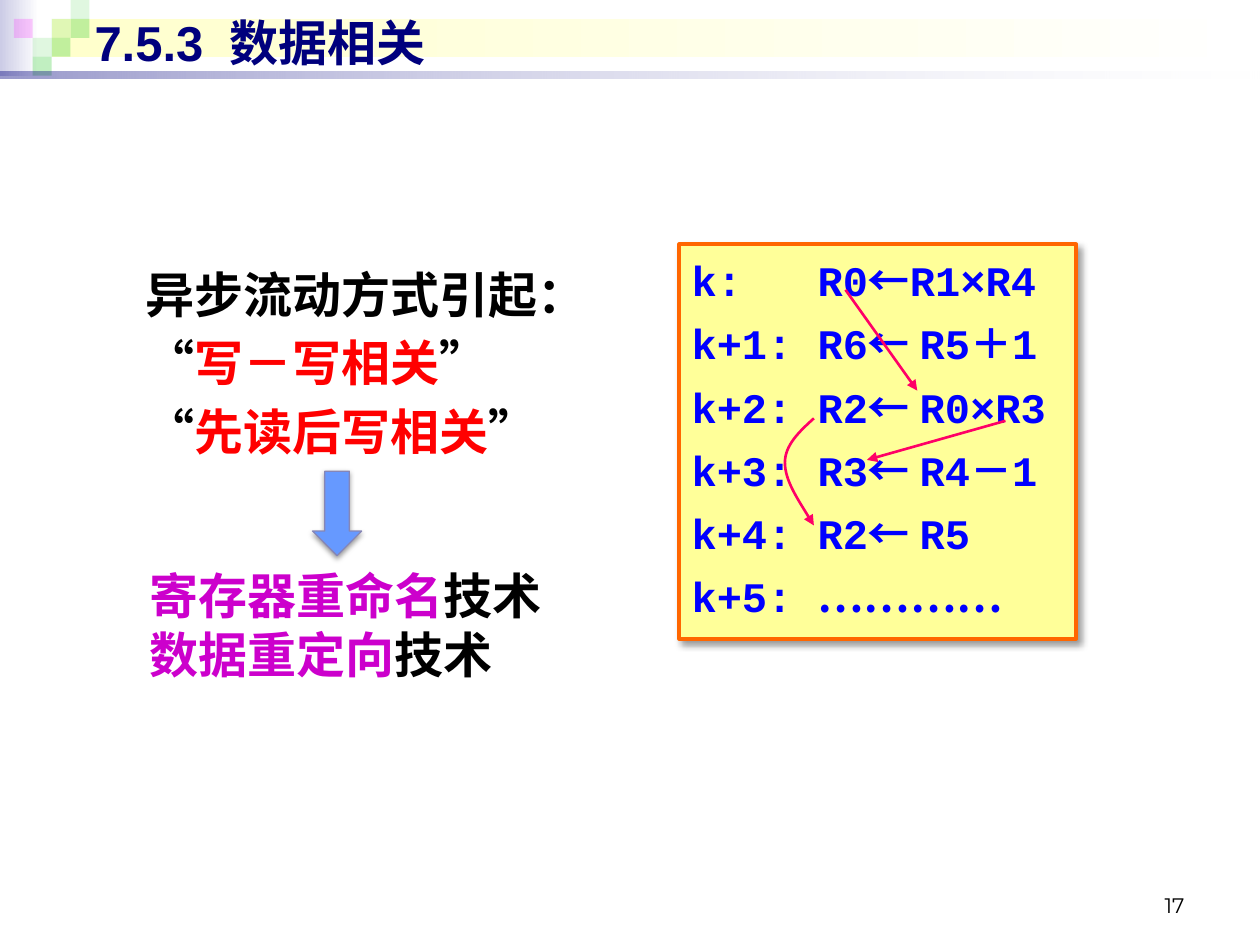
from lxml import etree
from pptx import Presentation
from pptx.dml.color import RGBColor
from pptx.enum import shapes, text
from pptx.oxml.ns import qn
from pptx.util import Inches, Pt

COLORS = {
    "navy": "00007D", "black": "000000", "white": "FFFFFF", "red": "FF0000",
    "purple": "CC00CC", "blue": "0000FF", "yellow": "FFFF99", "cream": "FFFFCC",
    "orange": "FF6600", "rose": "FF0066", "sky": "6699FF", "slate": "8686B6",
    "mist": "CCCCE6", "green": "33CC33", "pink": "FF00FF",
}
CJK, MONO, SANS = "Noto Sans CJK SC", "Courier New", "Arial"
BOX = shapes.MSO_SHAPE.RECTANGLE
STEP = 0.15  # side of one header tile


def rgb(name):
    return RGBColor.from_string(COLORS[name])


def sub(node, tag, **attrs):
    return etree.SubElement(node, qn(tag), {k: str(v) for k, v in attrs.items()})


def add_box(slide, kind, area, fill):
    """Add a borderless shape; a pair of colours makes a left-to-right gradient."""
    box = slide.shapes.add_shape(kind, *map(Inches, area))
    box.shadow.inherit = False
    box.line.fill.background()
    if isinstance(fill, tuple):
        box.fill.gradient()
        box.fill.gradient_angle = 0
        for stop, name in zip(box.fill.gradient_stops, fill):
            stop.color.rgb = rgb(name)
    else:
        box.fill.solid()
        box.fill.fore_color.rgb = rgb(fill)
    return box


def fade(box, *alphas):
    """Give the fill colours their opacity in percent."""
    nodes = list(box._element.spPr.iter(qn("a:srgbClr")))
    for node, alpha in zip(nodes, alphas):
        sub(node, "a:alpha", val=alpha * 1000)


def add_edge(box, color, width):
    box.line.color.rgb = rgb(color)
    box.line.width = Pt(width)


def add_shade(box, alpha, blur, dist, angle):
    effects = box._element.spPr.find(qn("a:effectLst"))
    shade = sub(effects, "a:outerShdw", blurRad=Pt(blur), dist=Pt(dist),
                dir=angle * 60000, algn="ctr", rotWithShape=0)
    tint = sub(shade, "a:srgbClr", val=COLORS["black"])
    sub(tint, "a:alpha", val=alpha * 1000)


def add_run(para, words, color, size, font, bold=True):
    run = para.add_run()
    run.text = words
    run.font.size, run.font.bold, run.font.name = Pt(size), bold, font
    run.font.color.rgb = rgb(color)
    props = run._r.get_or_add_rPr()
    props.set("lang", "zh-CN")
    sub(props, "a:ea", typeface=CJK)


def set_tab(para, pos):
    tabs = sub(para._p.get_or_add_pPr(), "a:tabLst")
    sub(tabs, "a:tab", pos=Inches(pos), algn="l")


def fill_text(frame, rows, pitch, gap, tab=None):
    """Write rows of (words, colour, size, font) runs, one paragraph a row."""
    frame.vertical_anchor = text.MSO_ANCHOR.TOP
    frame.margin_top = Inches(0.08)
    for i, row in enumerate(rows):
        para = frame.add_paragraph() if i else frame.paragraphs[0]
        if tab:
            set_tab(para, tab)
        para.alignment = text.PP_ALIGN.LEFT
        para.line_spacing = Pt(pitch)
        para.space_before = Pt(gap if i else 0)
        for part in row:
            add_run(para, *part)


def add_text(slide, area, wrap=True):
    frame = slide.shapes.add_textbox(*map(Inches, area)).text_frame
    frame.word_wrap = wrap
    return frame


def add_head(shape):
    """Colour the line and end it in an arrowhead."""
    add_edge(shape, "rose", 1.5)
    sub(shape._element.spPr.find(qn("a:ln")), "a:tailEnd", type="triangle")


def add_arrow(slide, start, end):
    line = slide.shapes.add_connector(
        shapes.MSO_CONNECTOR.STRAIGHT, *map(Inches, start + end))
    add_head(line)
    sub(line._element.spPr, "a:effectLst")


def add_curve(slide, points):
    """Draw Bezier curves through a start point and triples of points."""
    spots = [tuple(map(Inches, point)) for point in points]
    pen = slide.shapes.build_freeform(*spots[0])
    pen.add_line_segments(spots[1:], close=False)
    curve = pen.convert_to_shape()
    curve.shadow.inherit = False
    curve.fill.background()
    track = next(curve._element.spPr.iter(qn("a:path")))
    legs = track.findall(qn("a:lnTo"))
    for i in range(0, len(legs), 3):
        bend = sub(track, "a:cubicBezTo")
        for leg in legs[i:i + 3]:
            bend.append(leg[0])
            track.remove(leg)
    add_head(curve)


def add_header(slide):
    add_box(slide, BOX, (0, 0, 0.31, 0.6), ("mist", "white"))
    add_box(slide, BOX, (0.41, STEP, 9.55, 0.3), ("cream", "white"))
    tiles = [(2, 1, "green", 15), (3, 0, "green", 15), (3, 1, "green", 30),
             (1, 2, "green", 15), (0, 1, "pink", 20), (2, 2, "green", 30),
             (1, 3, "green", 30)]
    for col, row, color, alpha in tiles:
        area = (0.11 + col * STEP, row * STEP, STEP, STEP)
        fade(add_box(slide, BOX, area, color), alpha)
    fade(add_box(slide, BOX, (0, 0.57, 10, 0.05), ("navy", "white")), 40, 10)


def add_title(slide):
    title = slide.shapes.title
    title.left, title.top, title.width, title.height = map(
        Inches, (0.65, 0.05, 9, 0.57))
    title.text_frame.vertical_anchor = text.MSO_ANCHOR.MIDDLE
    para = title.text_frame.paragraphs[0]
    set_tab(para, 1.07)
    para.alignment = text.PP_ALIGN.LEFT
    add_run(para, "7.5.3\t数据相关", "navy", 28, SANS)
    # keep the title in front of the header bands
    slide.shapes._spTree.append(title._element)


def add_code(slide):
    box = add_box(slide, BOX, (5.39, 1.94, 3.15, 3.13), "yellow")
    add_edge(box, "orange", 2.25)
    add_shade(box, 40, 4, 3, 45)
    steps = [("k:\tR0", "R1×R4"), ("k+1:\tR6", "R5＋1"), ("k+2:\tR2", "R0×R3"),
             ("k+3:\tR3", "R4－1"), ("k+4:\tR2", "R5")]
    rows = []
    for i, (left, right) in enumerate(steps):
        row = [(left, "blue", 24, MONO), ("←", "blue", 24, CJK)]
        if i:
            row.append((" ", "blue", 20, SANS))
        rows.append(row + [(right, "blue", 24, MONO)])
    rows.append([("k+5:\t", "blue", 24, MONO), ("…………", "blue", 24, CJK)])
    fill_text(box.text_frame, rows, 28.9, 7.2, tab=1)


def main():
    deck = Presentation()
    deck.slide_width, deck.slide_height = Inches(10), Inches(7.5)
    slide = deck.slides.add_slide(deck.slide_layouts[5])
    add_header(slide)
    add_title(slide)

    page = add_text(slide, (7.17, 6.83, 2.33, 0.5))
    page.vertical_anchor = text.MSO_ANCHOR.BOTTOM
    page.paragraphs[0].alignment = text.PP_ALIGN.RIGHT
    add_run(page.paragraphs[0], "17", "black", 12, "Montserrat", False)

    cause = [[("异步流动方式引起：", "black", 28, CJK)]]
    for name in ("写－写相关", "先读后写相关"):
        cause.append([("“", "black", 28, CJK), (name, "red", 28, CJK),
                      ("”", "black", 28, CJK)])
    fill_text(add_text(slide, (1.06, 2.02, 4.11, 1.73)), cause, 33.5, 5.6)

    add_code(slide)
    add_arrow(slide, (6.71, 2.3), (7.28, 3.1))
    add_arrow(slide, (7.98, 3.34), (6.88, 3.65))
    add_curve(slide, [(6.46, 3.32), (6.35, 3.42), (6.23, 3.53), (6.23, 3.67),
                      (6.23, 3.81), (6.35, 3.99), (6.46, 4.17)])

    cure = [[(name, "purple", 28, CJK), ("技术", "black", 28, CJK)]
            for name in ("寄存器重命名", "数据重定向")]
    fill_text(add_text(slide, (1.09, 4.41, 3.36, 1.04), False), cure, 33.5, 0)

    down = add_box(slide, shapes.MSO_SHAPE.DOWN_ARROW,
                   (2.48, 3.74, 0.39, 0.67), "sky")
    add_edge(down, "slate", 0.75)
    add_shade(down, 38, 3.1, 1.6, 90)
    deck.save("out.pptx")


if __name__ == "__main__":
    main()
